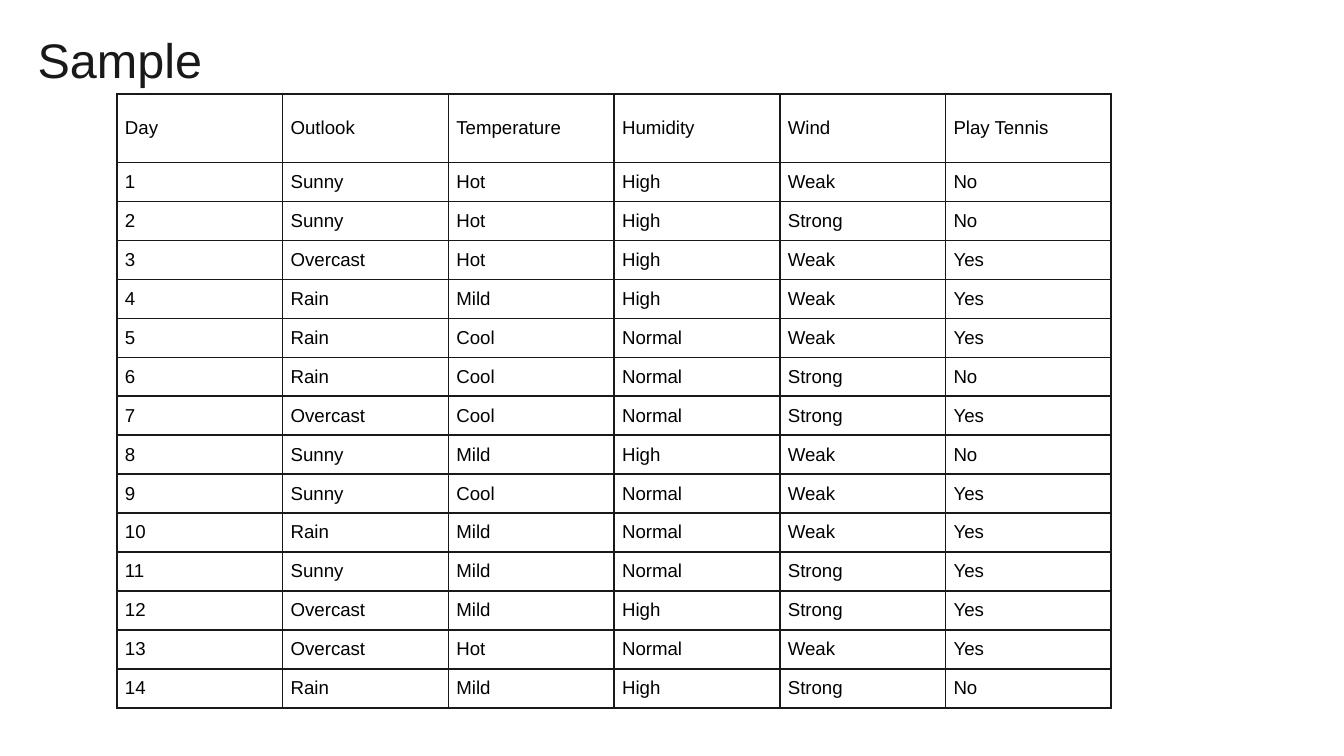
from typing import NamedTuple

from lxml.etree import SubElement
from pptx import Presentation
from pptx.dml.color import RGBColor
from pptx.enum.text import MSO_ANCHOR as Anchor, PP_ALIGN as Align
from pptx.oxml.ns import qn
from pptx.util import Inches, Pt

COLORS = {"background": "FFFFFF", "title": "191919", "border": "191919", "cell": "000000"}
FONT = "Arial"
SLIDE_WIDTH = 10


class Day(NamedTuple):
    outlook: str
    temperature: str
    humidity: str
    wind: str
    play: str


HEADINGS = ("Day", "Outlook", "Temperature", "Humidity", "Wind", "Play Tennis")
DAYS = [
    Day("Sunny", "Hot", "High", "Weak", "No"),
    Day("Sunny", "Hot", "High", "Strong", "No"),
    Day("Overcast", "Hot", "High", "Weak", "Yes"),
    Day("Rain", "Mild", "High", "Weak", "Yes"),
    Day("Rain", "Cool", "Normal", "Weak", "Yes"),
    Day("Rain", "Cool", "Normal", "Strong", "No"),
    Day("Overcast", "Cool", "Normal", "Strong", "Yes"),
    Day("Sunny", "Mild", "High", "Weak", "No"),
    Day("Sunny", "Cool", "Normal", "Weak", "Yes"),
    Day("Rain", "Mild", "Normal", "Weak", "Yes"),
    Day("Sunny", "Mild", "Normal", "Strong", "Yes"),
    Day("Overcast", "Mild", "High", "Strong", "Yes"),
    Day("Overcast", "Hot", "Normal", "Weak", "Yes"),
    Day("Rain", "Mild", "High", "Strong", "No"),
]


def write(frame, text: str, *, size: float, color: str, spacing: float = 1.0) -> None:
    """Put one left-aligned paragraph into a text frame."""
    paragraph = frame.paragraphs[0]
    paragraph.alignment = Align.LEFT
    paragraph.line_spacing = spacing
    run = paragraph.add_run()
    run.text = text
    run.font.name = FONT
    run.font.size = Pt(size)
    run.font.color.rgb = RGBColor.from_string(COLORS[color])


def draw_borders(cell, color: str, width: float) -> None:
    """Outline all four sides of a table cell."""
    properties = cell._tc.get_or_add_tcPr()
    for side in ("a:lnL", "a:lnR", "a:lnT", "a:lnB"):
        line = SubElement(properties, qn(side), w=str(Pt(width)))
        fill = SubElement(line, qn("a:solidFill"))
        SubElement(fill, qn("a:srgbClr"), val=COLORS[color])


def fill_cell(cell, text: str) -> None:
    cell.margin_left = cell.margin_right = Inches(0.06)
    cell.margin_top = cell.margin_bottom = Inches(0.03)
    cell.vertical_anchor = Anchor.MIDDLE
    draw_borders(cell, "border", 1)
    cell.fill.background()
    write(cell.text_frame, text, size=10, color="cell")


def add_title(slide, text: str) -> None:
    title = slide.shapes.title
    title.left, title.top = Inches(0.18), Inches(0.17)
    title.width, title.height = Inches(6.82), Inches(0.61)
    frame = title.text_frame
    frame.margin_left = frame.margin_right = Inches(0.1)
    frame.margin_top = frame.margin_bottom = Inches(0.1)
    frame.vertical_anchor = Anchor.TOP
    frame.word_wrap = True
    write(frame, text, size=26, color="title", spacing=0.9)


def add_days_table(slide, days: list[Day]):
    rows = [HEADINGS] + [(str(number), *day) for number, day in enumerate(days, 1)]
    width, heading_height, day_height = Inches(7.4), Inches(0.51), Inches(0.29)
    holder = slide.shapes.add_table(
        len(rows), len(HEADINGS), Inches(0.87), Inches(0.7),
        width, heading_height + day_height * len(days),
    )
    table = holder.table
    table.first_row = table.horz_banding = False

    # Equal columns, and equal rows below the headings
    for column in table.columns:
        column.width = width // len(HEADINGS)
    for row in table.rows:
        row.height = day_height
    table.rows[0].height = heading_height

    for r, texts in enumerate(rows):
        for c, text in enumerate(texts):
            fill_cell(table.cell(r, c), text)
    return holder


def main() -> None:
    # Widescreen slide, 16:9
    deck = Presentation()
    deck.slide_width, deck.slide_height = Inches(SLIDE_WIDTH), Inches(SLIDE_WIDTH * 9 / 16)
    slide = deck.slides.add_slide(deck.slide_layouts[5])  # title only
    slide.background.fill.solid()
    slide.background.fill.fore_color.rgb = RGBColor.from_string(COLORS["background"])

    # The title lies in front of the table
    add_title(slide, "Sample")
    days_table = add_days_table(slide, DAYS)
    days_table.element.addnext(slide.shapes.title.element)
    deck.save("out.pptx")


if __name__ == "__main__":
    main()
